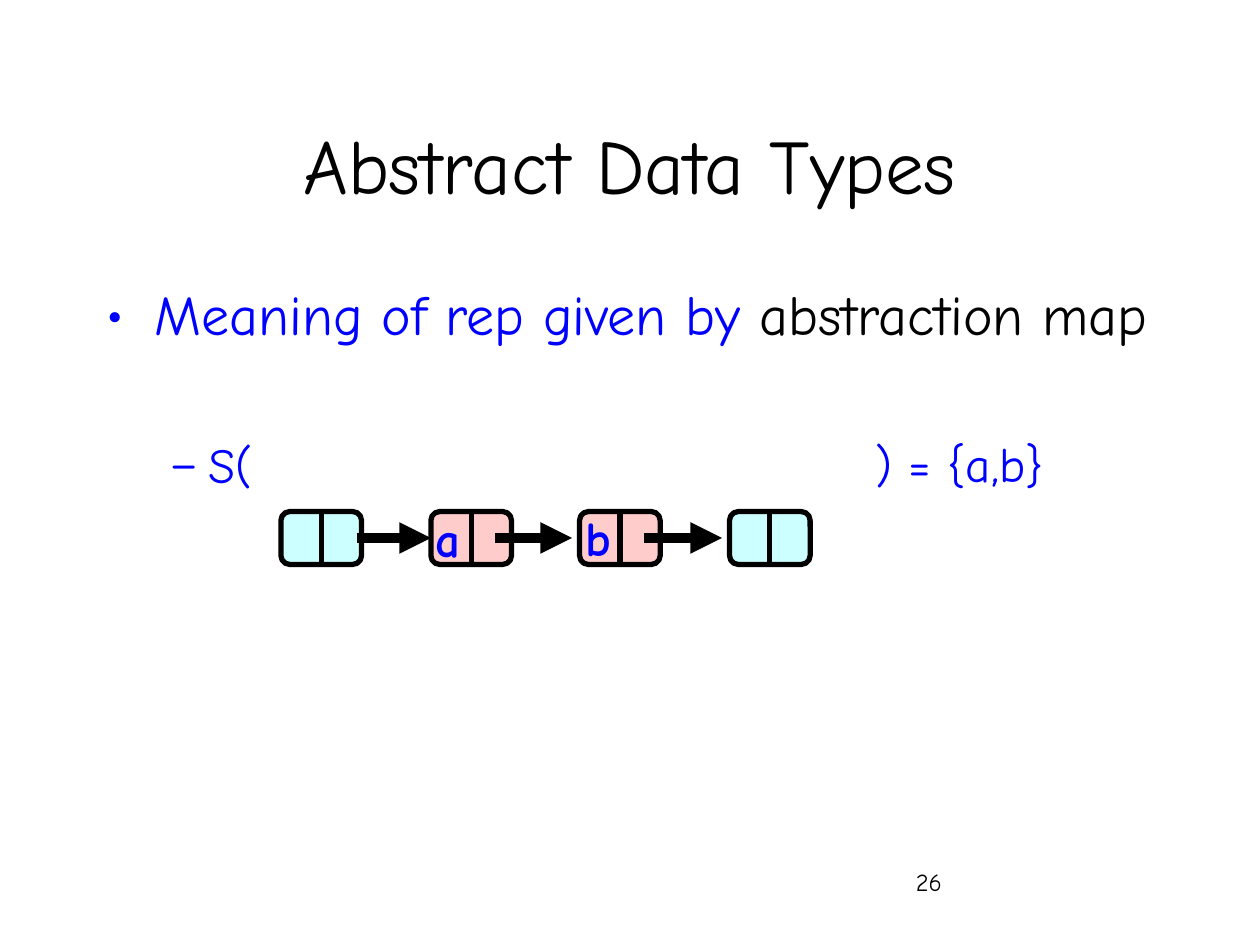
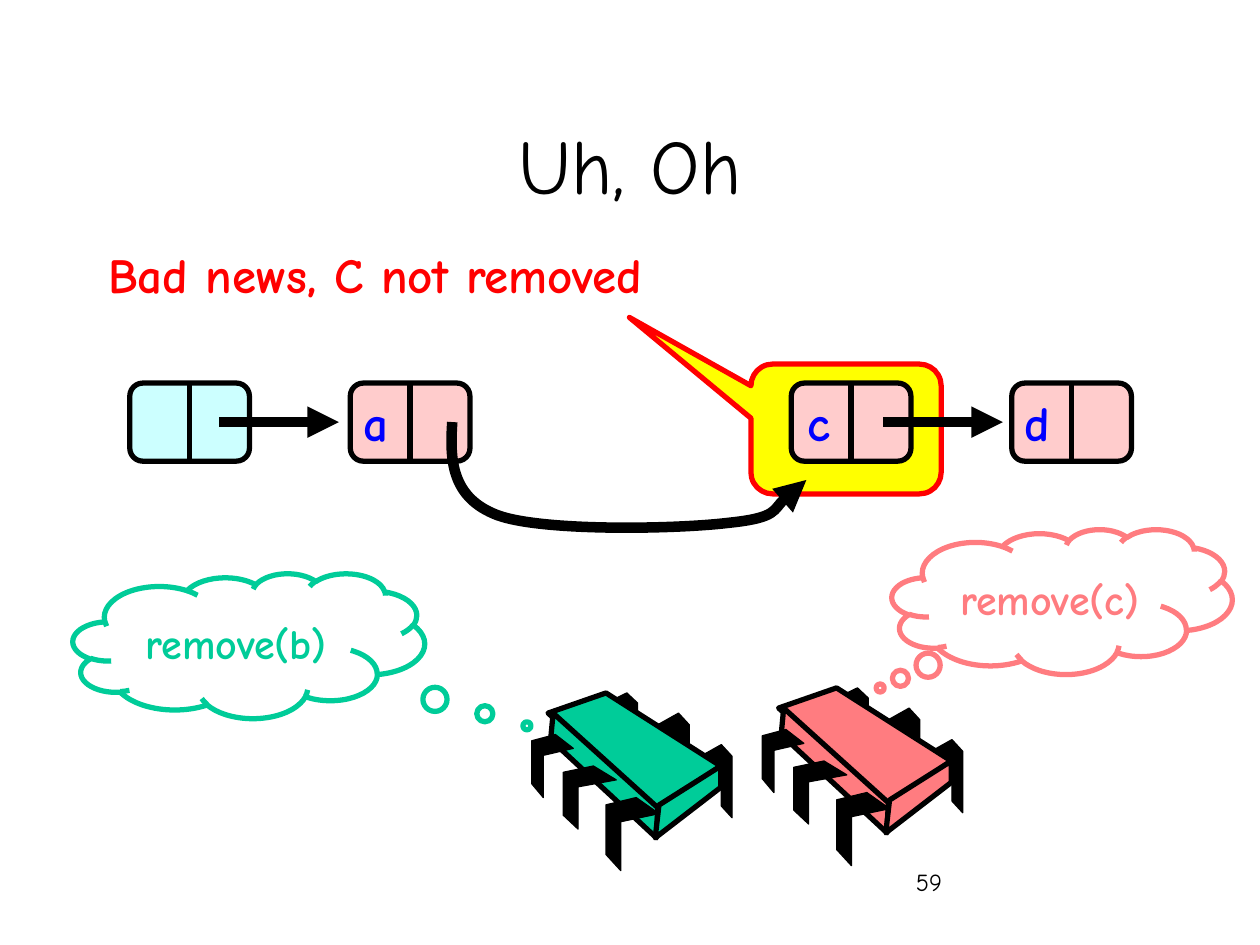
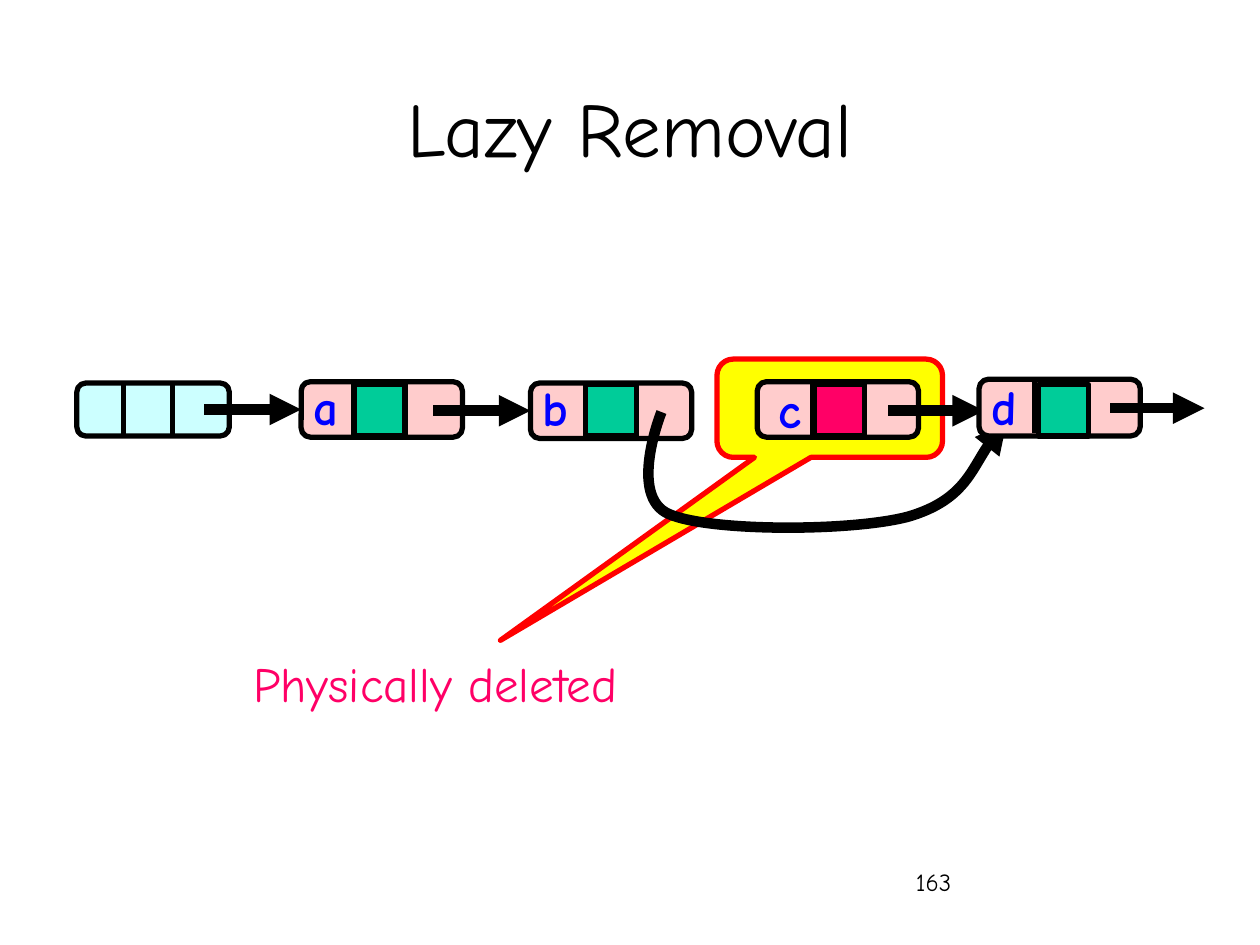
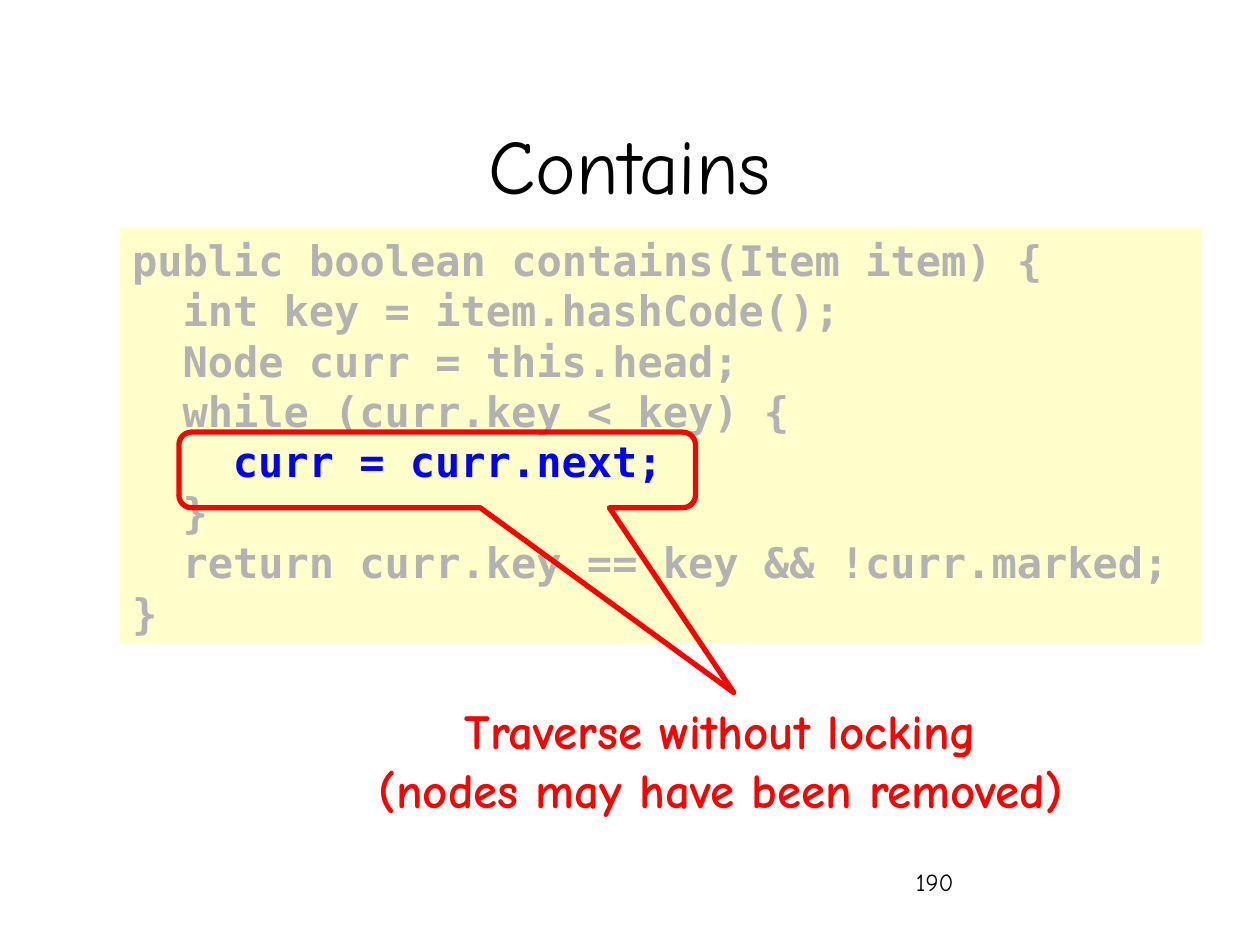
from lxml.etree import SubElement
from pptx import Presentation
from pptx.dml.color import RGBColor
from pptx.enum.shapes import MSO_CONNECTOR, MSO_SHAPE
from pptx.enum.text import MSO_ANCHOR, MSO_AUTO_SIZE, PP_ALIGN
from pptx.oxml.ns import qn
from pptx.util import Inches, Pt

SANS, MONO = "Comic Neue", "DejaVu Sans Mono"
BLACK, BLUE, RED = "000000", "0000FF", "FF0000"
CYAN, PINK, GREEN = "CCFFFF", "FFCCCC", "00CC99"
CORAL, ROSE, YELLOW = "FF7C80", "FF0066", "FFFF00"
CREAM, GREY = "FFFFCC", "B2B2B2"

BACK = [(0, .16), (.66, 0), (1, .16), (1, 1), (.66, .84), (.66, .3), (0, .43)]
FRONT = [(.57, 0), (1, .22), (.28, .33), (.28, 1), (0, .78), (0, .1)]
REAR_LEGS = [(1.34, .41, .25, .58), (1, .16, .25, .58), (.59, 0, .25, .5)]
FORE_LEGS = [(.59, .83, .42, .58), (.25, .58, .42, .5), (0, .33, .33, .5)]
FACES = [
    [(.59, 0), (1.5, .58), (.99, .93), (.13, .16)],
    [(.17, .16), (1, .91), (.99, 1.15), (.15, .37)],
    [(1.5, .58), (1.5, .75), (.98, 1.15), (1.01, .89)],
]


def paint(color):
    """Turn a hex string into a colour."""
    return RGBColor.from_string(color)


def style(shape, fill=None, line=None, width=3):
    """Set the fill and line of a shape, and drop its shadow."""
    shape.shadow.inherit = False
    if fill:
        shape.fill.solid()
        shape.fill.fore_color.rgb = paint(fill)
    else:
        shape.fill.background()
    if line:
        shape.line.color.rgb = paint(line)
        shape.line.width = Pt(width)
    else:
        shape.line.fill.background()
    return shape


def write(frame, text, para=None, size=28, color=BLACK, bold=False, font=SANS,
          align=PP_ALIGN.LEFT, left=0, hang=0, before=0, bullet=None):
    """Add a paragraph to a frame, or a run to a given paragraph."""
    if para is None:
        para = frame.paragraphs[0]
        if para.runs:
            para = frame.add_paragraph()
        para.alignment = align
        para.space_before = Pt(before)
        props = para._p.get_or_add_pPr()
        props.set("marL", str(Inches(left)))
        props.set("indent", str(Inches(-hang)))
        if bullet:
            SubElement(props, qn("a:buFont")).set("typeface", font)
            SubElement(props, qn("a:buChar")).set("char", bullet)
    run = para.add_run()
    run.text = text
    run.font.size = Pt(size)
    run.font.bold = bold
    run.font.name = font
    run.font.color.rgb = paint(color)
    return para


def box(slide, x, y, w, h, wrap=True, grow=False):
    """Add a text box and return its frame."""
    frame = slide.shapes.add_textbox(
        Inches(x), Inches(y), Inches(w), Inches(h)).text_frame
    frame.word_wrap = wrap
    if grow:
        frame.auto_size = MSO_AUTO_SIZE.SHAPE_TO_FIT_TEXT
    return frame


def label(slide, text, x, y, w=.42, color=BLUE, bold=True):
    """Add one line of text that does not wrap."""
    frame = box(slide, x, y, w, .57, wrap=False, grow=True)
    write(frame, text, color=color, bold=bold)


def block(slide, kind, x, y, w, h, adjust=(), **look):
    """Add a preset shape with its adjustments."""
    shape = slide.shapes.add_shape(
        kind, Inches(x), Inches(y), Inches(w), Inches(h))
    for i, value in enumerate(adjust):
        shape.adjustments[i] = value
    return style(shape, **look)


def callout(slide, x, y, w, h, tip, fill=None):
    """Add a red speech callout with its tip at a relative place."""
    block(slide, MSO_SHAPE.ROUNDED_RECTANGULAR_CALLOUT, x, y, w, h,
          (*tip, .167), fill=fill, line=RED)


def cloud(slide, text, x, y, w, tip, color):
    """Add a thought cloud with its text."""
    shape = block(slide, MSO_SHAPE.CLOUD_CALLOUT, x, y, w, 1.15, tip, line=color)
    frame = shape.text_frame
    frame.vertical_anchor = MSO_ANCHOR.MIDDLE
    write(frame, text, size=24, color=color, bold=True, align=PP_ALIGN.CENTER)


def point(shape):
    """Put an arrowhead at the end of a line."""
    SubElement(shape.element.spPr.find(qn("a:ln")), qn("a:tailEnd")).set(
        "type", "triangle")


def link(slide, x, y, end, low, width=3):
    """Add a straight line without a shadow."""
    line = slide.shapes.add_connector(
        MSO_CONNECTOR.STRAIGHT, Inches(x), Inches(y), Inches(end), Inches(low))
    line.line.color.rgb = paint(BLACK)
    line.line.width = Pt(width)
    SubElement(line.element.spPr, qn("a:effectLst"))
    return line


def arrow(slide, x, y, end, node=None):
    """Add a level arrow, joined to a node where one is given."""
    line = link(slide, x, y, end, y, 6)
    point(line)
    if node is not None:
        line.end_connect(node, 1)


def pair(slide, x, y, w, h, fill):
    """Add a list node split into two halves."""
    node = block(slide, MSO_SHAPE.ROUNDED_RECTANGLE, x, y, w, h, (.167,),
                 fill=fill, line=BLACK)
    cut = link(slide, x + w / 2, y, x + w / 2, y + h)
    cut.begin_connect(node, 0)
    cut.end_connect(node, 2)
    return node


def triple(slide, x, y, w=1.28, h=.44, fill=PINK, cuts=(.44, .83),
           flag=None, shift=.44):
    """Add a list node of three fields with an optional flag."""
    node = block(slide, MSO_SHAPE.ROUNDED_RECTANGLE, x, y, w, h, (.167,),
                 fill=fill, line=BLACK)
    for cut in cuts:
        link(slide, x + cut, y + .01, x + cut, y + .43)
    if flag:
        block(slide, MSO_SHAPE.RECTANGLE, x + shift, 3.05, .4, .41,
              fill=flag, line=BLACK)
    return node


def outline(shapes, points, close=True):
    """Build a freeform through points given in inches."""
    spots = [(Inches(x), Inches(y)) for x, y in points]
    builder = shapes.build_freeform(*spots[0])
    builder.add_line_segments(spots[1:], close=close)
    return builder.convert_to_shape()


def curve(slide, points):
    """Add a curved arrow; each three points after the first make a bend."""
    shape = style(outline(slide.shapes, points, close=False), line=BLACK, width=6)
    track = next(shape.element.iter(qn("a:path")))
    steps = track.findall(qn("a:lnTo"))
    for i in range(0, len(steps), 3):
        bend = SubElement(track, qn("a:cubicBezTo"))
        for step in steps[i:i + 3]:
            bend.append(step[0])
            track.remove(step)
    point(shape)


def chip(slide, x, y, color):
    """Add a processor chip with six legs as a group."""
    shapes = slide.shapes.add_group_shape().shapes

    def legs(form, places):
        """Draw one row of legs."""
        for dx, dy, w, h in places:
            spots = [(x + dx + w * a, y + dy + h * b) for a, b in form]
            style(outline(shapes, spots), BLACK, BLACK, .75)

    legs(BACK, REAR_LEGS)
    for face in FACES:
        spots = [(x + a, y + b) for a, b in face]
        style(outline(shapes, spots), color, BLACK)
    legs(FRONT, FORE_LEGS)


def page(deck, title, number, top=.67):
    """Add a slide with its title and number."""
    slide = deck.slides.add_slide(deck.slide_layouts[6])
    write(box(slide, 7.17, 6.83, 2.08, .5), number, size=14)
    frame = box(slide, .75, top, 8.5, 1.25)
    frame.vertical_anchor = MSO_ANCHOR.MIDDLE
    write(frame, title, size=44, align=PP_ALIGN.CENTER)
    return slide


def types(deck):
    """Build the slide on abstract data types."""
    slide = page(deck, "Abstract Data Types", "26")
    body = box(slide, .75, 2.17, 8.5, 4.5)
    para = write(body, "Meaning of rep given by ", size=32, color=BLUE,
                 left=.38, hang=.38, before=6.4, bullet="•")
    write(body, "abstraction map", para, size=32)
    write(body, "S(", color=BLUE, left=.81, hang=.31, before=50, bullet="–")
    write(box(slide, 6.85, 3.39, 1.8, .57), ") = {a,b}", color=BLUE)
    spots = [(2.23, CYAN), (3.42, PINK), (4.6, PINK), (5.79, CYAN)]
    nodes = [pair(slide, x, 4.06, .64, .42, fill) for x, fill in spots]
    label(slide, "a", 3.36, 3.99)
    label(slide, "b", 4.55, 3.98)
    arrow(slide, 2.83, 4.27, 3.45, nodes[1])
    arrow(slide, 3.93, 4.27, 4.54)
    arrow(slide, 5.11, 4.27, 5.73)


def trouble(deck):
    """Build the slide on the failed removal."""
    slide = page(deck, "Uh, Oh", "59")
    callout(slide, 5.96, 2.89, 1.51, 1.03, (-1.139, -.86), YELLOW)
    for x, fill in [(1.03, CYAN), (2.78, PINK), (6.28, PINK), (8.03, PINK)]:
        pair(slide, x, 3.04, .95, .62, fill)
    for text, x in [("a", 2.79), ("c", 6.31), ("d", 8.03)]:
        label(slide, text, x, 3.07)
    for x in (1.74, 7.01):
        arrow(slide, x, 3.35, x + .95)
    curve(slide, [(3.59, 3.35), (3.57, 3.65), (3.58, 3.95), (3.95, 4.09),
                  (4.31, 4.22), (5.37, 4.2), (5.78, 4.15),
                  (6.18, 4.11), (6.27, 3.88), (6.4, 3.81)])
    chip(slide, 4.22, 5.5, GREEN)
    chip(slide, 6.05, 5.46, CORAL)
    label(slide, "Bad news, C not removed", .76, 1.89, 5.03, RED)
    cloud(slide, "remove(b)", .58, 4.55, 2.79, (.791, .553), GREEN)
    cloud(slide, "remove(c)", 7.08, 4.2, 2.7, (-.535, .596), CORAL)


def lazy(deck):
    """Build the slide on lazy removal."""
    slide = page(deck, "Lazy Removal", "163", top=.38)
    callout(slide, 5.69, 2.85, 1.79, .78, (-1.46, 2.362), YELLOW)
    triple(slide, .61, 3.04, 1.21, .42, CYAN, (.37, .76))
    first = triple(slide, 2.39, 3.03, flag=GREEN, shift=.42)
    second = triple(slide, 4.21, 3.04, flag=GREEN)
    triple(slide, 6.01, 3.03, flag=ROSE, shift=.45)
    arrow(slide, 1.62, 3.25, 2.37, first)
    arrow(slide, 3.44, 3.26, 4.19, second)
    arrow(slide, 7.05, 3.26, 7.81)
    curve(slide, [(5.25, 3.27), (5.25, 3.27), (4.98, 3.94), (5.31, 4.08),
                  (5.63, 4.22), (6.76, 4.22), (7.21, 4.1),
                  (7.65, 3.97), (7.82, 3.5), (7.99, 3.35)])
    triple(slide, 7.77, 3.01, h=.45, flag=GREEN, shift=.47)
    arrow(slide, 8.81, 3.24, 9.56)
    for text, x, y in [("a", 2.39, 2.94), ("b", 4.21, 2.95),
                       ("c", 6.08, 2.96), ("d", 7.77, 2.94)]:
        label(slide, text, x, y)
    label(slide, "Physically deleted", 1.91, 5.14, 3.45, ROSE, bold=False)


def contains(deck):
    """Build the slide with the code of contains."""
    slide = page(deck, "Contains", "190")
    panel = block(slide, MSO_SHAPE.RECTANGLE, .95, 1.81, 8.59, 3.3, fill=CREAM)
    frame = panel.text_frame
    frame.vertical_anchor = MSO_ANCHOR.TOP
    frame.auto_size = MSO_AUTO_SIZE.SHAPE_TO_FIT_TEXT
    code = [
        (0, "public boolean contains(Item item) {"),
        (1, "int key = item.hashCode();"),
        (1, "Node curr = this.head;"),
        (1, "while (curr.key < key) {"),
        (2, "curr = curr.next;"),
        (1, "}"),
        (1, "return curr.key == key && !curr.marked;"),
        (0, "}"),
    ]
    for depth, text in code:
        write(frame, text, size=24, color=BLUE if depth == 2 else GREY,
              bold=True, font=MONO, left=.4 * depth)
    callout(slide, 1.42, 3.43, 4.1, .6, (.574, 2.945))
    note = box(slide, 2.45, 5.51, 6.54, 1.03, grow=True)
    for text in ("Traverse without locking", "(nodes may have been removed)"):
        write(note, text, color=RED, bold=True, align=PP_ALIGN.CENTER)


def main():
    """Build and save the deck."""
    deck = Presentation()
    deck.slide_width, deck.slide_height = Inches(10), Inches(7.5)
    for build in (types, trouble, lazy, contains):
        build(deck)
    deck.save("out.pptx")


if __name__ == "__main__":
    main()
